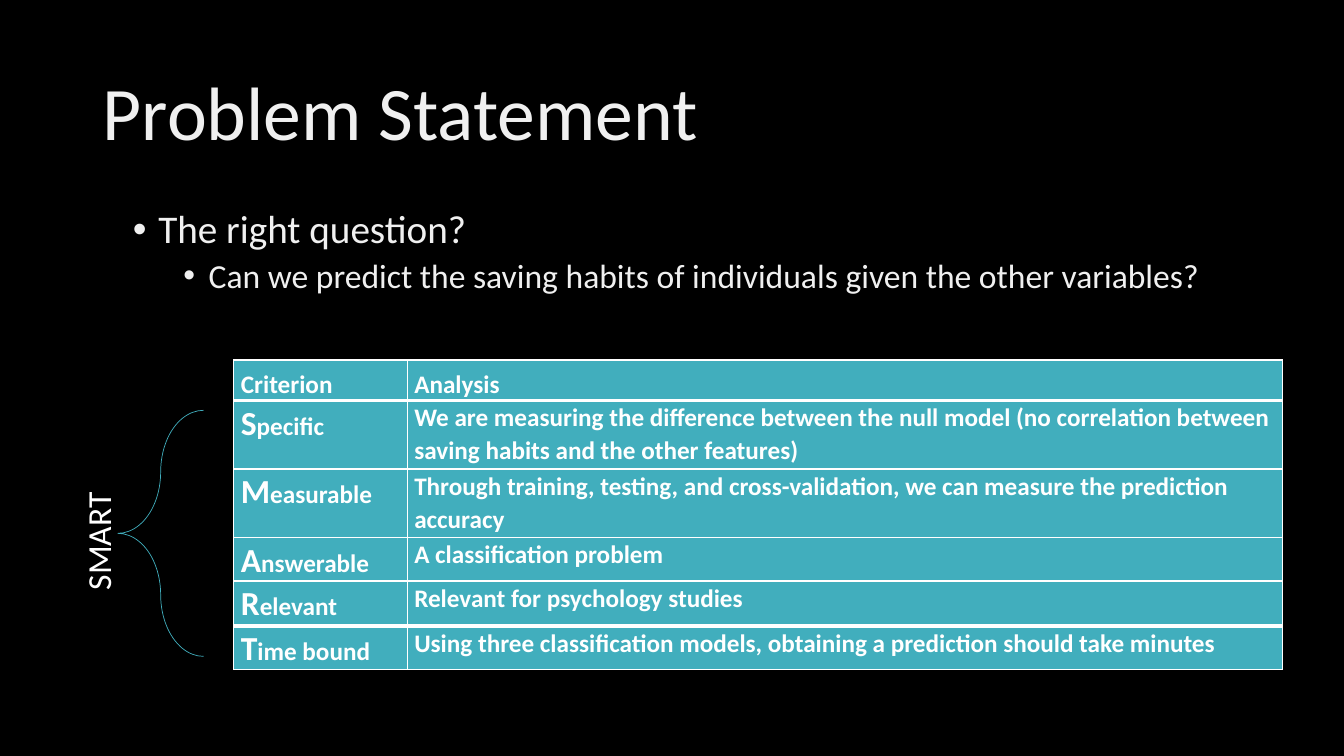
from dataclasses import dataclass

import lxml.etree
import pptx
import pptx.dml.color
import pptx.enum.shapes
import pptx.enum.text
import pptx.oxml.ns
import pptx.util

Cm = pptx.util.Cm
Pt = pptx.util.Pt
qn = pptx.oxml.ns.qn


@dataclass(frozen=True)
class Theme:
    font: str = "Calibri"
    back: str = "000000"
    pale: str = "F0F0F0"
    white: str = "FFFFFF"
    teal: str = "41AEBD"
    title: int = 54
    lead: int = 28
    large: int = 24
    small: int = 18


@dataclass(frozen=True)
class Box:
    left: float
    top: float
    width: float
    height: float

    def size(self) -> tuple:
        return Cm(self.left), Cm(self.top), Cm(self.width), Cm(self.height)


@dataclass(frozen=True)
class Row:
    name: str
    note: str
    height: float


@dataclass(frozen=True)
class Point:
    text: str
    size: int
    inset: float
    before: int


THEME = Theme()
TITLE = Box(2.34, 1.09, 29.21, 3.68)
BODY = Box(3.1, 5.16, 28.42, 12.09)
TABLE = Box(5.89, 9.07, 26.42, 7.8)
BRACE = Box(2.97, 10.34, 2.16, 6.2)
LABEL = Box(0.71, 12.73, 3.51, 1.27)
COLS = (4.37, 22.05)
THICK = (1, 5)  # rows with a heavy rule above them

POINTS = (
    Point("The right question?", THEME.lead, 0.64, 10),
    Point("Can we predict the saving habits of individuals given the other variables?",
          THEME.large, 1.91, 5),
)
ROWS = (
    Row("Criterion", "Analysis", 1.02),
    Row("Specific", "We are measuring the difference between the null model "
        "(no correlation between saving habits and the other features)", 1.73),
    Row("Measurable", "Through training, testing, and cross-validation, "
        "we can measure the prediction accuracy", 1.73),
    Row("Answerable", "A classification problem", 1.02),
    Row("Relevant", "Relevant for psychology studies", 1.14),
    Row("Time bound", "Using three classification models, "
        "obtaining a prediction should take minutes", 1.02),
)


def tint(code: str) -> pptx.dml.color.RGBColor:
    return pptx.dml.color.RGBColor.from_string(code)


def write(par, text: str, *, size: int, color: str = THEME.white, bold: bool = False,
          cap: int = 0, line: float = 1.0, before: int = 0, after: int = 0) -> None:
    """Fill a paragraph; cap gives the first letter its own size."""
    par.alignment = pptx.enum.text.PP_ALIGN.LEFT
    par.line_spacing = line
    par.space_before, par.space_after = Pt(before), Pt(after)
    parts = [(text[0], cap), (text[1:], size)] if cap else [(text, size)]
    for part, points in parts:
        run = par.add_run()
        run.text = part
        run.font.name = THEME.font
        run.font.size = Pt(points)
        run.font.bold = bold
        run.font.color.rgb = tint(color)


def bullet(par, inset: float) -> None:
    props = par._p.get_or_add_pPr()
    props.set("marL", str(Cm(inset)))
    props.set("indent", str(-Cm(0.64)))
    lxml.etree.SubElement(props, qn("a:buFont"), typeface="Arial")
    lxml.etree.SubElement(props, qn("a:buChar"), char="•")


def border(cell, side: str, width: float) -> None:
    line = lxml.etree.SubElement(cell._tc.get_or_add_tcPr(), qn(f"a:ln{side}"),
                                 w=str(Pt(width)))
    fill = lxml.etree.SubElement(line, qn("a:solidFill"))
    lxml.etree.SubElement(fill, qn("a:srgbClr"), val=THEME.white)


def add_title(slide) -> None:
    title = slide.shapes.title
    title.left, title.top, title.width, title.height = TITLE.size()
    frame = title.text_frame
    frame.auto_size = pptx.enum.text.MSO_AUTO_SIZE.NONE
    frame.vertical_anchor = pptx.enum.text.MSO_ANCHOR.MIDDLE
    write(frame.paragraphs[0], "Problem Statement", size=THEME.title,
          color=THEME.pale, line=0.9)


def add_body(slide) -> None:
    frame = slide.shapes.add_textbox(*BODY.size()).text_frame
    frame.word_wrap = True
    for level, point in enumerate(POINTS):
        par = frame.add_paragraph() if level else frame.paragraphs[0]
        par.level = level
        write(par, point.text, size=point.size, color=THEME.pale,
              line=0.9, before=point.before)
        bullet(par, point.inset)


def add_grid(slide) -> None:
    anchor = pptx.enum.text.MSO_ANCHOR
    table = slide.shapes.add_table(len(ROWS), len(COLS), *TABLE.size()).table
    table.first_row = table.horz_banding = False
    for col, width in zip(table.columns, COLS):
        col.width = Cm(width)
    for r, row in enumerate(ROWS):
        table.rows[r].height = Cm(row.height)
        for c, text in enumerate((row.name, row.note)):
            cell = table.cell(r, c)
            cell.margin_left = cell.margin_right = Cm(0.18)
            cell.margin_top = cell.margin_bottom = 0
            cell.vertical_anchor = anchor.TOP if r else anchor.BOTTOM
            for side, edge in (("L", None), ("R", None), ("T", r), ("B", r + 1)):
                border(cell, side, 3 if edge in THICK else 1)
            cell.fill.solid()
            cell.fill.fore_color.rgb = tint(THEME.teal)
            write(cell.text_frame.paragraphs[0], text, size=THEME.small, bold=True,
                  cap=THEME.large if r and c == 0 else 0, line=1.07, after=8)


def add_brace(slide) -> None:
    kind = pptx.enum.shapes.MSO_SHAPE.LEFT_BRACE
    brace = slide.shapes.add_shape(kind, *BRACE.size())
    brace.adjustments[0] = 1.035
    brace.adjustments[1] = 0.5
    brace.shadow.inherit = False
    brace.fill.background()
    brace.line.color.rgb = tint(THEME.teal)
    brace.line.width = Pt(0.5)


def add_label(slide) -> None:
    label = slide.shapes.add_textbox(*LABEL.size())
    label.rotation = 270
    frame = label.text_frame
    frame.word_wrap = True
    frame.auto_size = pptx.enum.text.MSO_AUTO_SIZE.SHAPE_TO_FIT_TEXT
    write(frame.paragraphs[0], "SMART", size=THEME.large)


def main() -> None:
    deck = pptx.Presentation()
    deck.slide_width, deck.slide_height = Cm(33.87), Cm(19.05)
    slide = deck.slides.add_slide(deck.slide_layouts[5])
    slide.background.fill.solid()
    slide.background.fill.fore_color.rgb = tint(THEME.back)

    # Heading and question
    add_title(slide)
    add_body(slide)

    # Criteria table with its side label
    add_grid(slide)
    add_brace(slide)
    add_label(slide)
    deck.save("out.pptx")


if __name__ == "__main__":
    main()
